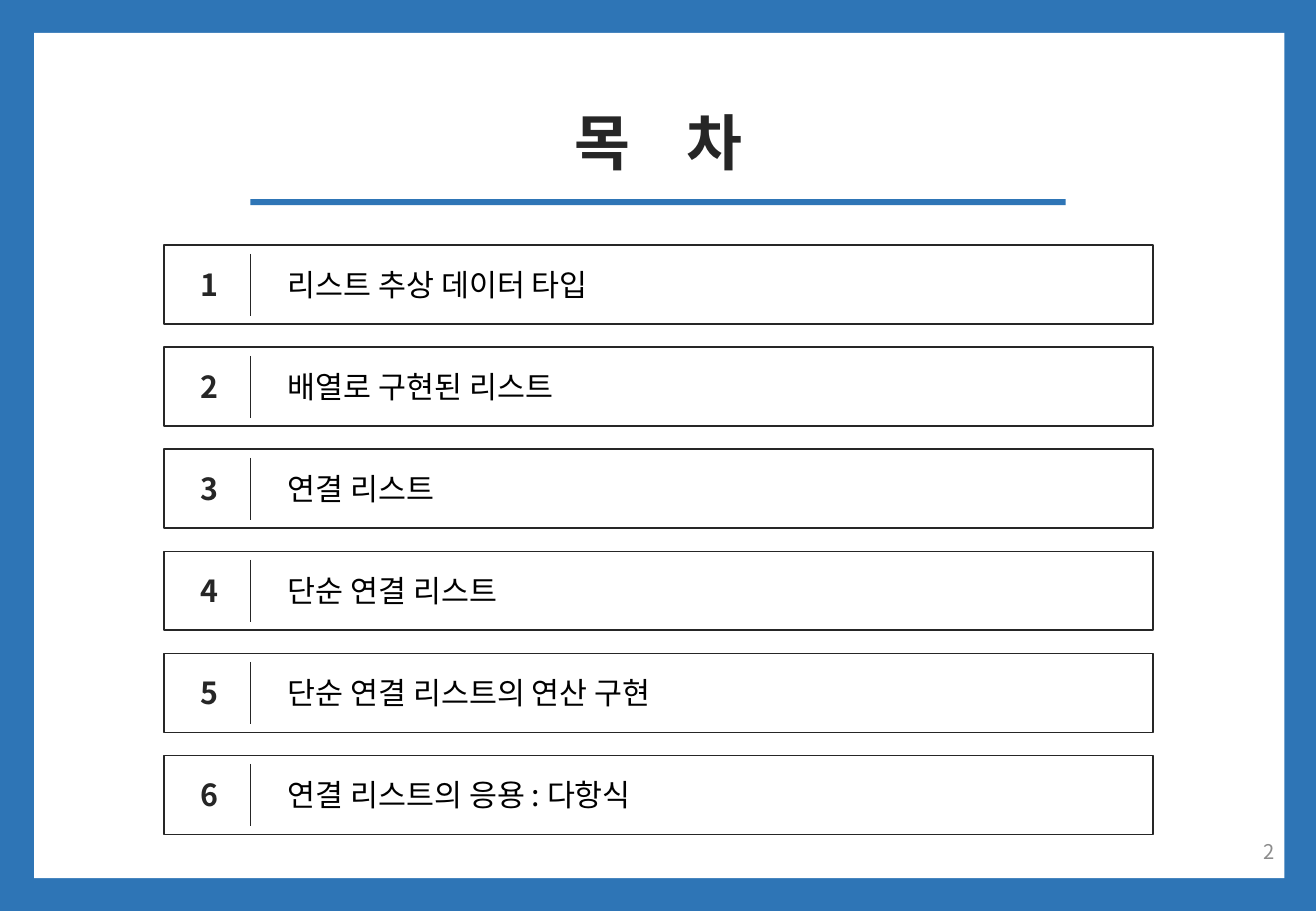
from dataclasses import dataclass

from lxml import etree
from pptx import Presentation
from pptx.dml.color import RGBColor
from pptx.enum.shapes import MSO_CONNECTOR, MSO_SHAPE
from pptx.enum.text import MSO_ANCHOR, MSO_AUTO_SIZE, PP_ALIGN
from pptx.oxml.ns import qn
from pptx.util import Inches, Pt

RECTANGLE = MSO_SHAPE.RECTANGLE
STRAIGHT = MSO_CONNECTOR.STRAIGHT
TOP, MIDDLE = MSO_ANCHOR.TOP, MSO_ANCHOR.MIDDLE
LEFT, CENTER, RIGHT = PP_ALIGN.LEFT, PP_ALIGN.CENTER, PP_ALIGN.RIGHT
FIXED_SIZE = MSO_AUTO_SIZE.NONE

BLUE = RGBColor(0x2E, 0x75, 0xB6)
WHITE = RGBColor(0xFF, 0xFF, 0xFF)
DARK = RGBColor(0x26, 0x26, 0x26)
BLACK = RGBColor(0x00, 0x00, 0x00)
GREY = RGBColor(0x8C, 0x8C, 0x8C)

FONT = "Noto Sans CJK KR"
TIGHT = -150  # hundredths of a point
TITLE_GAP = 2500
TITLE_ONLY_LAYOUT = 5
SLIDE_WIDTH, SLIDE_HEIGHT = Inches(10.83), Inches(7.5)

# Agenda rows, in percent of the slide height
FIRST_ROW, ROW_PITCH, ROW_HEIGHT = 26.93, 11.2, 8.67


@dataclass(frozen=True)
class Area:
    """A rectangle in percent of the slide's width and height."""
    left: float
    top: float
    width: float
    height: float

    def lengths(self) -> tuple[int, int, int, int]:
        return (int(SLIDE_WIDTH * self.left / 100),
                int(SLIDE_HEIGHT * self.top / 100),
                int(SLIDE_WIDTH * self.width / 100),
                int(SLIDE_HEIGHT * self.height / 100))


@dataclass(frozen=True)
class TextStyle:
    size: int
    color: RGBColor
    bold: bool = False
    spacing: int = 0
    align: PP_ALIGN = LEFT
    anchor: MSO_ANCHOR = TOP


@dataclass(frozen=True)
class Topic:
    label: str
    width: float


TITLE_STYLE = TextStyle(36, DARK, True, TIGHT, CENTER)
NUMBER_STYLE = TextStyle(18, DARK, True, TIGHT)
LABEL_STYLE = TextStyle(18, BLACK)
PAGE_STYLE = TextStyle(12, GREY, align=RIGHT, anchor=MIDDLE)

TOPICS = [
    Topic("리스트 추상 데이터 타입", 27.61),
    Topic("배열로 구현된 리스트", 24.47),
    Topic("연결 리스트", 14.31),
    Topic("단순 연결 리스트", 19.85),
    Topic("단순 연결 리스트의 연산 구현", 33.15),
    Topic("연결 리스트의 응용 : 다항식", 31.3),
]


def style_text(shape, style: TextStyle) -> None:
    frame = shape.text_frame
    frame.auto_size = FIXED_SIZE
    frame.word_wrap = True
    frame.vertical_anchor = style.anchor
    paragraph = frame.paragraphs[0]
    paragraph.alignment = style.align
    font = paragraph.font
    font.size = Pt(style.size)
    font.bold = style.bold
    font.color.rgb = style.color
    font.name = FONT
    properties = font._rPr
    properties.set("spc", str(style.spacing))
    etree.SubElement(properties, qn("a:ea")).set("typeface", FONT)


def add_text(slide, area: Area, text: str, style: TextStyle) -> None:
    shape = slide.shapes.add_textbox(*area.lengths())
    shape.text_frame.text = text
    style_text(shape, style)


def add_rectangle(slide, area: Area, fill: RGBColor, outlined: bool = False) -> None:
    shape = slide.shapes.add_shape(RECTANGLE, *area.lengths())
    shape.shadow.inherit = False
    shape.fill.solid()
    shape.fill.fore_color.rgb = fill
    if outlined:
        shape.line.color.rgb = DARK
        shape.line.width = Pt(1)
    else:
        shape.line.fill.background()


def add_divider(slide, area: Area) -> None:
    left, top, width, height = area.lengths()
    line = slide.shapes.add_connector(STRAIGHT, left, top, left + width, top + height)
    line.line.color.rgb = DARK
    line.line.width = Pt(0.5)
    etree.SubElement(line._element.spPr, qn("a:effectLst"))


def add_title(slide) -> None:
    title = slide.shapes.title
    title.left, title.top, title.width, title.height = Area(41, 10.8, 18.01, 9.47).lengths()
    paragraph = title.text_frame.paragraphs[0]
    for text in ("목", " ", "차"):
        run = paragraph.add_run()
        run.text = text
        if text == " ":
            run.font._rPr.set("spc", str(TITLE_GAP))
    style_text(title, TITLE_STYLE)
    # Bring the title in front of the frame
    slide.shapes._spTree.append(title._element)


def add_topic(slide, index: int, topic: Topic) -> None:
    top = FIRST_ROW + index * ROW_PITCH
    add_rectangle(slide, Area(12.47, top, 75.16, ROW_HEIGHT), WHITE, outlined=True)
    add_divider(slide, Area(19.02, top + 0.93, 0, 6.8))
    add_text(slide, Area(20.96, top + 1.6, topic.width, 5.33), topic.label, LABEL_STYLE)
    add_text(slide, Area(14.31, top + 1.6, 3.05, 5.33), str(index + 1), NUMBER_STYLE)


def main() -> None:
    presentation = Presentation()
    presentation.slide_width, presentation.slide_height = SLIDE_WIDTH, SLIDE_HEIGHT
    slide = presentation.slides.add_slide(presentation.slide_layouts[TITLE_ONLY_LAYOUT])

    # Blue frame around a white page
    add_rectangle(slide, Area(0, 0, 100, 100), BLUE)
    add_rectangle(slide, Area(2.59, 3.6, 95.01, 92.8), WHITE)

    # Heading
    add_title(slide)

    # Agenda
    for index, topic in enumerate(TOPICS):
        add_topic(slide, index, topic)

    # Rule under the heading and page number
    add_rectangle(slide, Area(19.02, 21.87, 61.96, 0.67), BLUE)
    add_text(slide, Area(75.25, 90.8, 22.53, 5.33), "2", PAGE_STYLE)

    presentation.save("out.pptx")


if __name__ == "__main__":
    main()
